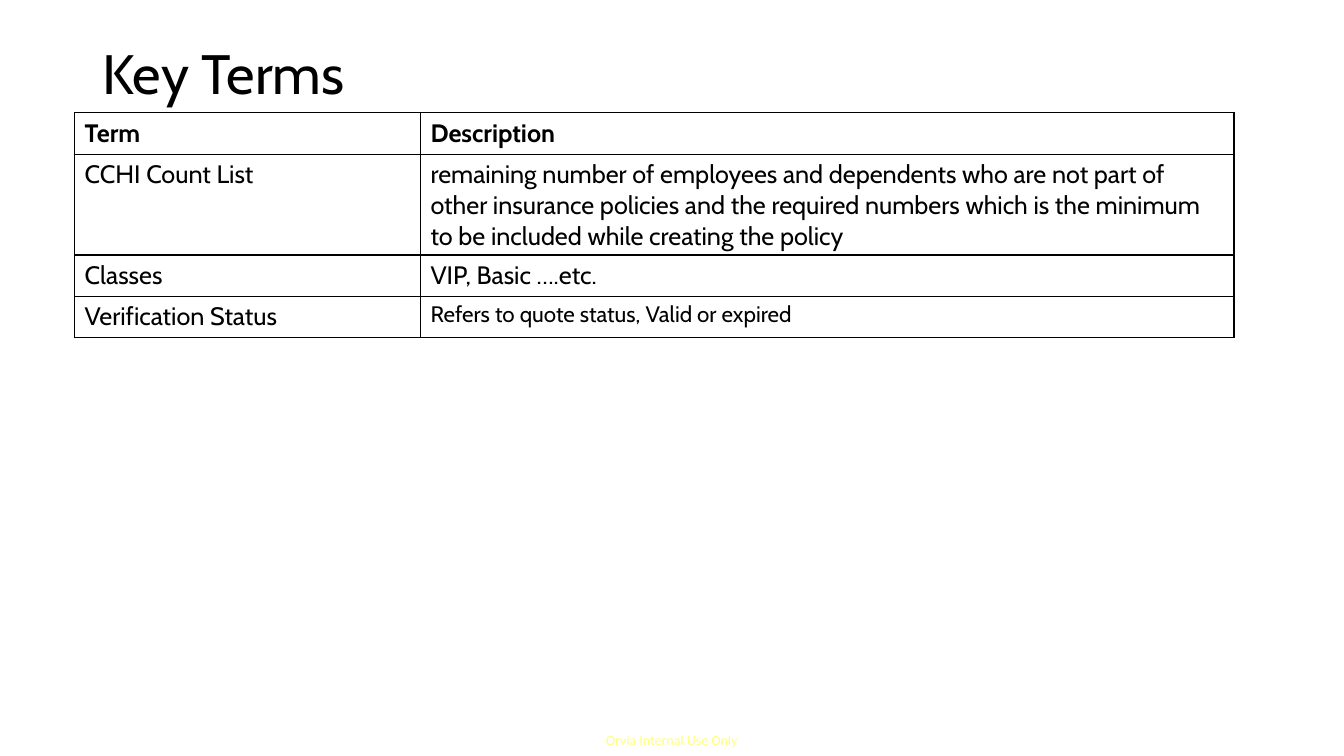
from lxml import etree
from pptx import Presentation
from pptx.dml.color import RGBColor
from pptx.enum.text import MSO_ANCHOR, PP_ALIGN
from pptx.oxml.ns import qn
from pptx.util import Pt

PX = 9144  # 100 px to the inch
BLACK = RGBColor(0, 0, 0)
YELLOW = RGBColor(255, 255, 0)
MIDDLE = MSO_ANCHOR.MIDDLE
LEFT = PP_ALIGN.LEFT
FONT = "Cabin"

COLS = [343, 807]
ROW = 41
TERMS = [
    ("Term", "Description"),
    ("CCHI Count List",
     "remaining number of employees and dependents who are not part of other "
     "insurance policies and the required numbers which is the minimum to be "
     "included while creating the policy"),
    ("Classes", "VIP, Basic ….etc."),
    ("Verification Status", "Refers to quote status, Valid or expired"),
]


def emu(*sizes):
    return [size * PX for size in sizes]


def style(para, size, color=BLACK, name=FONT, bold=False):
    font = para.font
    font.size, font.name, font.bold = Pt(size), name, bold
    font.color.rgb = color


def add_title(slide, box, text):
    title = slide.shapes.title
    title.left, title.top, title.width, title.height = emu(*box)
    frame = title.text_frame
    frame.text = text
    frame.vertical_anchor = MIDDLE
    para = frame.paragraphs[0]
    para.alignment = LEFT
    para.line_spacing = 0.9
    style(para, 39.6)


def add_edges(cell):
    """Draw a thin black line on all four sides of a cell."""
    props = cell._tc.get_or_add_tcPr()
    for side in ("lnL", "lnR", "lnT", "lnB"):
        line = etree.SubElement(props, qn(f"a:{side}"), w=str(Pt(1)))
        fill = etree.SubElement(line, qn("a:solidFill"))
        etree.SubElement(fill, qn("a:srgbClr"), val=str(BLACK))


def add_terms(slide, left, top):
    box = emu(left, top, sum(COLS), ROW * len(TERMS))
    table = slide.shapes.add_table(len(TERMS), len(COLS), *box).table
    table.first_row = table.horz_banding = False
    for col, width in zip(table.columns, COLS):
        col.width = width * PX
    for r, row in enumerate(TERMS):
        table.rows[r].height = ROW * PX
        for c, text in enumerate(row):
            cell = table.cell(r, c)
            cell.text = text
            add_edges(cell)
            cell.fill.background()
            last = r == len(TERMS) - 1 and c == 1
            style(cell.text_frame.paragraphs[0], 16 if last else 18, bold=r == 0)


def add_notice(slide, box, text):
    frame = slide.shapes.add_textbox(*emu(*box)).text_frame
    frame.margin_left = frame.margin_right = 0
    frame.margin_top = frame.margin_bottom = 0
    frame.text = text
    run = frame.paragraphs[0].runs[0]
    style(run, 10, YELLOW, "Calibri")
    color = run._r.find(".//" + qn("a:srgbClr"))
    etree.SubElement(color, qn("a:alpha"), val="50000")


def main():
    deck = Presentation()
    deck.slide_width, deck.slide_height = emu(1333, 750)
    slide = deck.slides.add_slide(deck.slide_layouts[5])
    add_notice(slide, (601, 726, 134, 17), "Orvia Internal Use Only")
    add_title(slide, (92, 40, 1150, 72), "Key Terms")
    add_terms(slide, 74, 112)
    deck.save("out.pptx")


if __name__ == "__main__":
    main()
